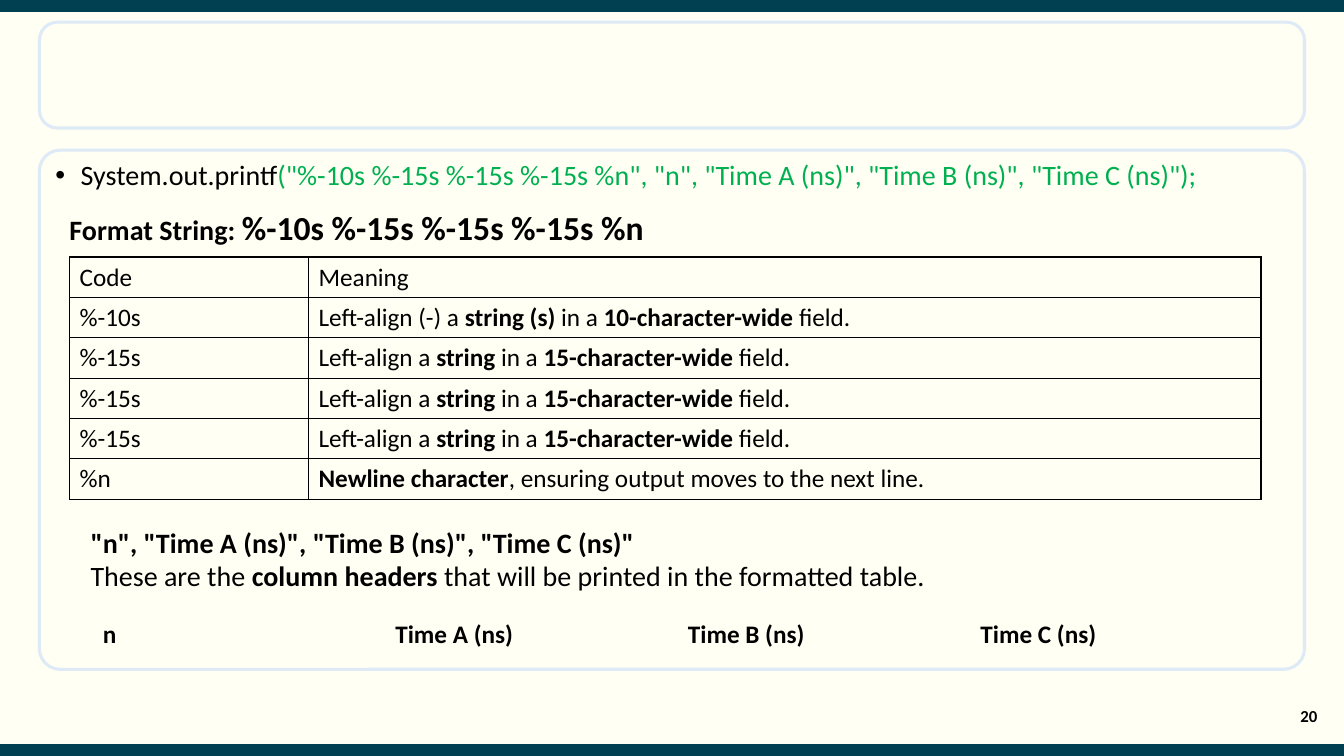
import dataclasses

import lxml.etree
import pptx
import pptx.dml.color
import pptx.enum.shapes
import pptx.enum.text
import pptx.oxml
import pptx.oxml.ns
import pptx.util

ANCHOR = pptx.enum.text.MSO_ANCHOR
ALIGN = pptx.enum.text.PP_ALIGN
SHAPE = pptx.enum.shapes.MSO_SHAPE
QN = pptx.oxml.ns.qn
PLAIN_TABLE = "{2D5ABB26-0587-4C30-8999-92F81FD0307C}"


@dataclasses.dataclass(frozen=True)
class Theme:
    """Colours, font and type sizes of the slide."""
    paper: str = "FFFFF4"
    frame: str = "DEEBF7"
    band: str = "004050"
    ink: str = "000000"
    accent: str = "00B050"
    font: str = "Calibri"
    number: int = 12
    cell: int = 18
    body: int = 20
    code: int = 24


def apply(target, values):
    """Set each named attribute on the target."""
    for name, value in values.items():
        setattr(target, name, value)


def colour(value):
    """Turn a hex string into a colour."""
    return pptx.dml.color.RGBColor.from_string(value)


def marked(text, size):
    """Split text at asterisks into regular and bold spans."""
    return [(part, {"size": size, "bold": index % 2 == 1})
            for index, part in enumerate(text.split("*")) if part]


class Canvas:
    """Draws elements placed in percent of the slide's size."""

    def __init__(self, deck, theme):
        """Add a blank page in the theme's paper colour."""
        self.deck, self.theme = deck, theme
        self.page = deck.slides.add_slide(deck.slide_layouts[6])
        fill = self.page.background.fill
        fill.solid()
        fill.fore_color.rgb = colour(theme.paper)

    def across(self, share):
        """Convert a percentage of the width."""
        return round(self.deck.slide_width * share / 100)

    def down(self, share):
        """Convert a percentage of the height."""
        return round(self.deck.slide_height * share / 100)

    def area(self, left, top, width, height):
        """Convert a rectangle of percentages."""
        return self.across(left), self.down(top), self.across(width), self.down(height)

    def add_spans(self, para, spans):
        """Fill a paragraph with formatted spans."""
        for text, values in spans:
            span = para.add_run()
            span.text = text
            values = {"name": self.theme.font, "bold": False, **values}
            tint = values.pop("tint", self.theme.ink)
            values["size"] = pptx.util.Pt(values["size"])
            apply(span.font, values)
            span.font.color.rgb = colour(tint)

    def frame(self, place, rounding):
        """Draw an outlined rounded rectangle."""
        box = self.page.shapes.add_shape(SHAPE.ROUNDED_RECTANGLE, *self.area(*place))
        box.shadow.inherit = False
        box.adjustments[0] = rounding
        box.fill.background()
        box.line.color.rgb = colour(self.theme.frame)
        box.line.width = pptx.util.Pt(2.25)
        return box

    def band(self, height):
        """Draw a thick line across the slide."""
        line = self.page.shapes.add_connector(
            pptx.enum.shapes.MSO_CONNECTOR.STRAIGHT,
            0, self.down(height), self.across(100), self.down(height))
        line.line.color.rgb = colour(self.theme.band)
        line.line.width = pptx.util.Pt(9)
        lxml.etree.SubElement(line._element.spPr, QN("a:effectLst"))

    def bullet(self, box, spans):
        """Put one bulleted paragraph at the top of a shape."""
        apply(box.text_frame, {"word_wrap": True, "vertical_anchor": ANCHOR.TOP})
        para = box.text_frame.paragraphs[0]
        apply(para, {"alignment": ALIGN.LEFT, "line_spacing": 0.9,
                     "space_before": pptx.util.Pt(10)})
        indent = pptx.util.Inches(0.25)
        properties = para._p.get_or_add_pPr()
        properties.set("marL", str(indent))
        properties.set("indent", str(-indent))
        lxml.etree.SubElement(properties, QN("a:buFont")).set("typeface", "Arial")
        lxml.etree.SubElement(properties, QN("a:buChar")).set("char", "•")
        self.add_spans(para, spans)

    def text(self, place, lines, align=ALIGN.LEFT):
        """Add a text box with one paragraph per line."""
        box = self.page.shapes.add_textbox(*self.area(*place))
        apply(box.text_frame, {"word_wrap": True, "vertical_anchor": ANCHOR.MIDDLE})
        for index, spans in enumerate(lines):
            para = box.text_frame.add_paragraph() if index else box.text_frame.paragraphs[0]
            para.alignment = align
            self.add_spans(para, spans)

    def outline(self, cell):
        """Give a cell a thin border on each side."""
        properties = cell._tc.get_or_add_tcPr()
        for side in ("L", "R", "T", "B"):
            edge = lxml.etree.SubElement(properties, QN(f"a:ln{side}"))
            edge.set("w", str(pptx.util.Pt(1)))
            fill = lxml.etree.SubElement(edge, QN("a:solidFill"))
            lxml.etree.SubElement(fill, QN("a:srgbClr")).set("val", self.theme.ink)

    def table(self, place, widths, rows, bordered):
        """Add an unfilled table from rows of marked text."""
        grid = self.page.shapes.add_table(len(rows), len(widths), *self.area(*place)).table
        apply(grid, {"first_row": False, "horz_banding": False})
        grid._tbl.tblPr.find(QN("a:tableStyleId")).text = PLAIN_TABLE
        for column, width in zip(grid.columns, widths):
            column.width = self.across(width)
        for row, texts in zip(grid.rows, rows):
            for cell, text in zip(row.cells, texts):
                if bordered:
                    self.outline(cell)
                cell.fill.background()
                cell.vertical_anchor = ANCHOR.MIDDLE
                self.add_spans(cell.text_frame.paragraphs[0], marked(text, self.theme.cell))


def main():
    """Build the format string slide."""
    deck = pptx.Presentation()
    apply(deck, {"slide_width": pptx.util.Inches(13.33),
                 "slide_height": pptx.util.Inches(7.5)})
    theme = Theme()
    canvas = Canvas(deck, theme)

    headers = ["n", "Time A (ns)", "Time B (ns)", "Time C (ns)"]
    quoted = ", ".join(f'"{header}"' for header in headers)
    pattern = "%-10s %-15s %-15s %-15s %n"

    canvas.frame((2.93, 2.93, 94.13, 14), 0.17)
    for height in (0.8, 99.2):
        canvas.band(height)
    body = canvas.frame((2.93, 19.87, 94.13, 68.67), 0.04)
    canvas.bullet(body, [
        ("System.out.printf", {"size": theme.body}),
        (f'("{pattern}", {quoted});', {"size": theme.body, "tint": theme.accent})])
    canvas.text((95.48, 91.07, 3.83, 7.33), [marked("*20*", theme.number)], ALIGN.CENTER)

    wide_field = ["%-15s", "Left-align a *string* in a *15-character-wide* field."]
    canvas.table((5.18, 34, 88.65, 32), (17.78, 70.87), [
        ["Code", "Meaning"],
        ["%-10s", "Left-align (-) a *string (s)* in a *10-character-wide* field."],
        *[wide_field] * 3,
        ["%n", "*Newline character*, ensuring output moves to the next line."],
    ], True)
    canvas.text((4.43, 26.67, 50.93, 6.67), [
        marked("*Format String: *", theme.body) + marked(f"*{pattern}*", theme.code)])
    canvas.table((6.9, 78.93, 87.08, 10), [87.08 / len(headers)] * len(headers),
                 [[f"*{header}*" for header in headers]], False)
    canvas.text((6, 68.8, 92.55, 10.27), [
        marked(f"*{quoted}*", theme.body),
        marked("These are the *column headers* that will be printed in the formatted table.",
               theme.body)])
    deck.save("out.pptx")


if __name__ == "__main__":
    main()
